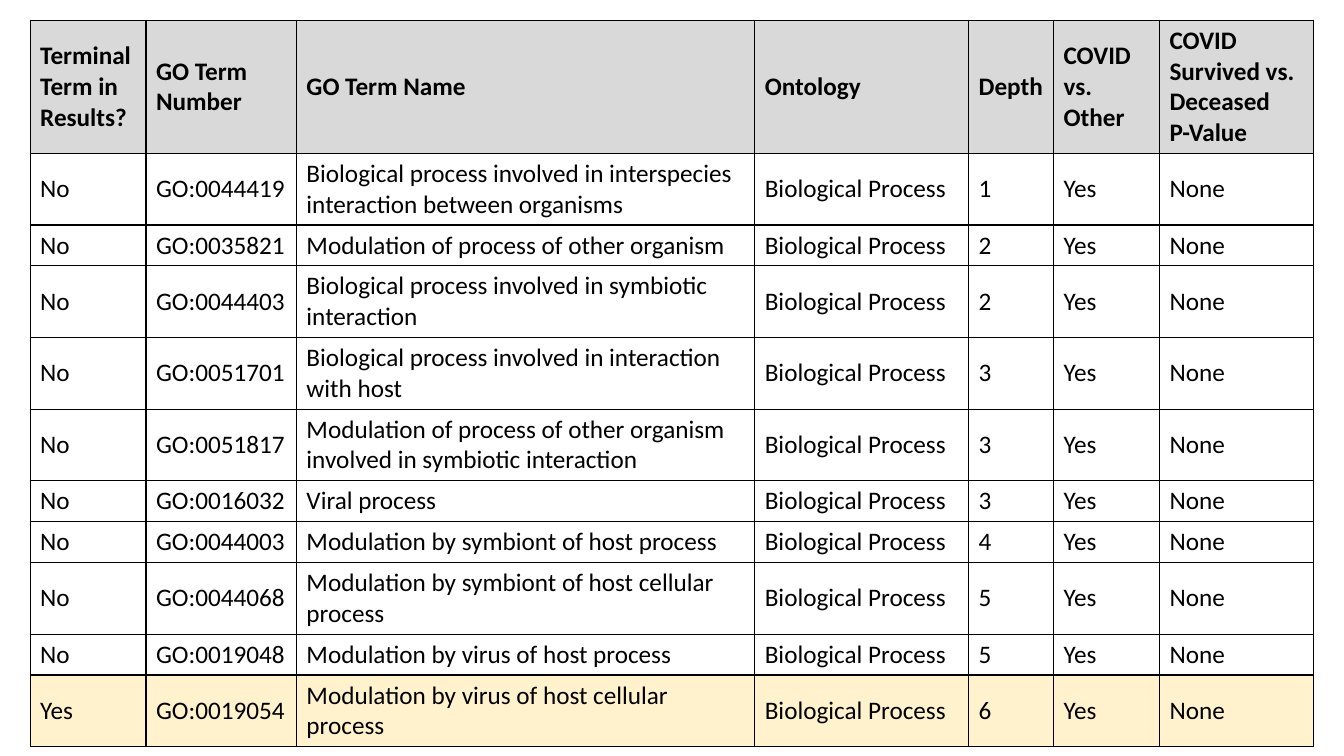
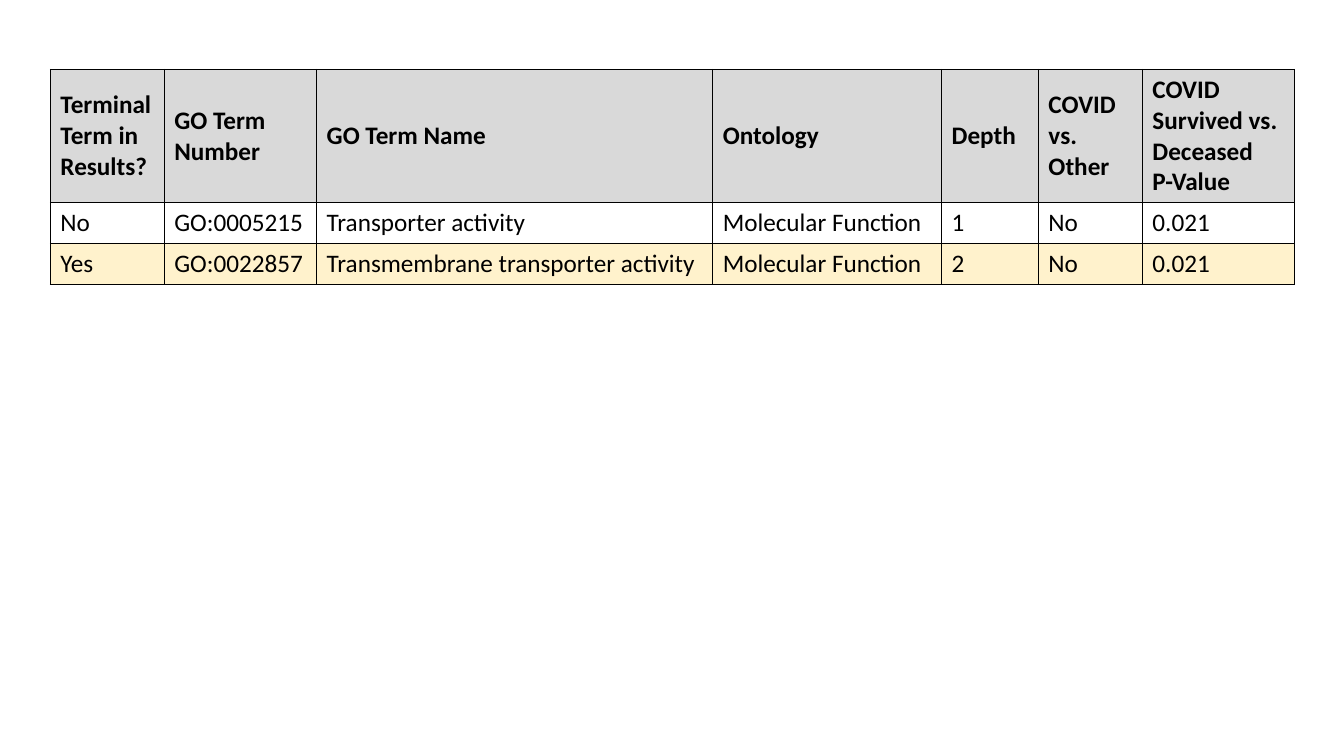
from dataclasses import dataclass

from lxml.etree import SubElement
from pptx import Presentation
from pptx.dml.color import RGBColor
from pptx.enum.text import MSO_ANCHOR
from pptx.oxml.ns import qn
from pptx.util import Cm, Pt


@dataclass(frozen=True)
class Theme:
    font: str = "Calibri"
    size: int = 18
    text: str = "000000"
    border: str = "000000"
    border_width: int = 1
    header_fill: str = "D9D9D9"
    terminal_fill: str = "FFF2CC"


theme = Theme()

HEADER_HEIGHT = 3.35
ONE_LINE_HEIGHT = 1.02
TWO_LINE_HEIGHT = 1.8
LONGEST_ONE_LINE_NAME = 40

HEADERS = (
    "Terminal Term in Results?",
    "GO Term Number",
    "GO Term Name",
    "Ontology",
    "Depth",
    "COVID vs. Other",
    "COVID Survived vs. Deceased\nP-Value",
)

TABLES = (
    {
        "left": 0.76,
        "top": 0.51,
        "widths": (2.92, 3.79, 11.55, 5.39, 2.14, 2.67, 3.89),
        "ontology": "Biological Process",
        "covid_other": "Yes",
        "p_value": "None",
        "terms": (
            ("GO:0044419", "Biological process involved in interspecies interaction between organisms", 1),
            ("GO:0035821", "Modulation of process of other organism", 2),
            ("GO:0044403", "Biological process involved in symbiotic interaction", 2),
            ("GO:0051701", "Biological process involved in interaction with host", 3),
            ("GO:0051817", "Modulation of process of other organism involved in symbiotic interaction", 3),
            ("GO:0016032", "Viral process", 3),
            ("GO:0044003", "Modulation by symbiont of host process", 4),
            ("GO:0044068", "Modulation by symbiont of host cellular process", 5),
            ("GO:0019048", "Modulation by virus of host process", 5),
            ("GO:0019054", "Modulation by virus of host cellular process", 6),
        ),
    },
    {
        "left": 1.27,
        "top": 1.75,
        "widths": (2.87, 3.84, 9.98, 5.77, 2.44, 2.62, 3.84),
        "ontology": "Molecular Function",
        "covid_other": "No",
        "p_value": "0.021",
        "terms": (
            ("GO:0005215", "Transporter activity", 1),
            ("GO:0022857", "Transmembrane transporter activity", 2),
        ),
    },
)


def add_borders(cell):
    properties = cell._tc.get_or_add_tcPr()
    for side in ("a:lnL", "a:lnR", "a:lnT", "a:lnB"):
        line = SubElement(properties, qn(side), w=str(Pt(theme.border_width)))
        fill = SubElement(line, qn("a:solidFill"))
        SubElement(fill, qn("a:srgbClr"), val=theme.border)


def write_cell(cell, text, fill, bold):
    add_borders(cell)
    if fill:
        cell.fill.solid()
        cell.fill.fore_color.rgb = RGBColor.from_string(fill)
    else:
        cell.fill.background()
    cell.vertical_anchor = MSO_ANCHOR.MIDDLE
    for index, line in enumerate(text.split("\n")):
        frame = cell.text_frame
        paragraph = frame.add_paragraph() if index else frame.paragraphs[0]
        run = paragraph.add_run()
        run.text = line
        run.font.name = theme.font
        run.font.size = Pt(theme.size)
        run.font.bold = bold
        run.font.color.rgb = RGBColor.from_string(theme.text)


presentation = Presentation()
presentation.slide_width = Cm(33.87)
presentation.slide_height = Cm(19.05)
blank_layout = presentation.slide_layouts[6]

for content in TABLES:
    slide = presentation.slides.add_slide(blank_layout)
    terms = content["terms"]
    rows = [HEADERS]
    heights = [HEADER_HEIGHT]
    for number, name, depth in terms:
        terminal = "Yes" if number == terms[-1][0] else "No"
        rows.append((terminal, number, name, content["ontology"], str(depth),
                     content["covid_other"], content["p_value"]))
        heights.append(TWO_LINE_HEIGHT if len(name) > LONGEST_ONE_LINE_NAME else ONE_LINE_HEIGHT)

    shape = slide.shapes.add_table(
        len(rows), len(HEADERS), Cm(content["left"]), Cm(content["top"]),
        Cm(sum(content["widths"])), Cm(sum(heights)))
    table = shape.table
    table.first_row = False
    table.horz_banding = False
    for column, width in zip(table.columns, content["widths"]):
        column.width = Cm(width)

    for row_index, (values, height) in enumerate(zip(rows, heights)):
        table.rows[row_index].height = Cm(height)
        is_header = row_index == 0
        if is_header:
            fill = theme.header_fill
        else:
            fill = theme.terminal_fill if values[0] == "Yes" else None
        for column_index, value in enumerate(values):
            write_cell(table.cell(row_index, column_index), value, fill, is_header)

presentation.save("out.pptx")
